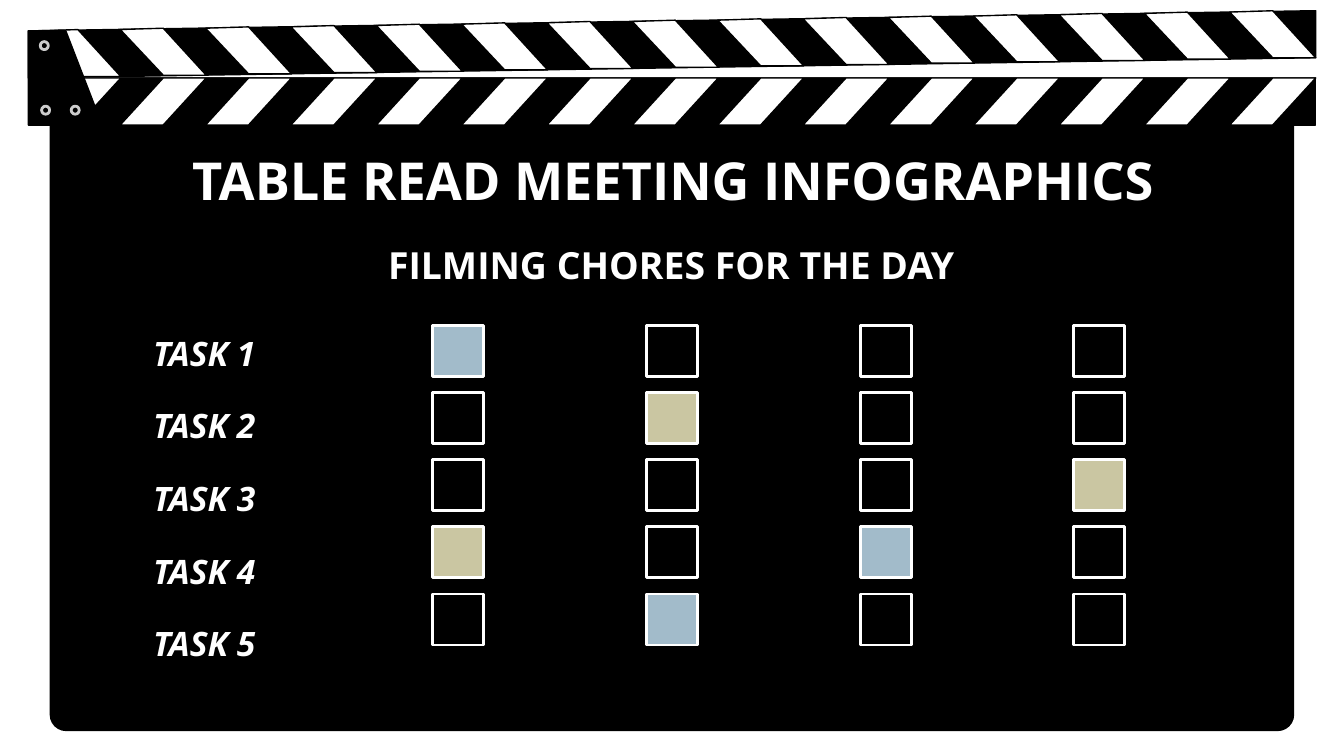
from lxml.etree import SubElement
from pptx import Presentation
from pptx.dml.color import RGBColor
from pptx.enum.shapes import MSO_CONNECTOR, MSO_SHAPE
from pptx.enum.text import MSO_ANCHOR, PP_ALIGN
from pptx.oxml.ns import qn
from pptx.util import Inches, Pt

BLACK = RGBColor(0x00, 0x00, 0x00)
WHITE = RGBColor(0xFF, 0xFF, 0xFF)
SEAM = RGBColor(0x17, 0x17, 0x17)
SILVER = RGBColor(0xCC, 0xCC, 0xCC)
BLUE = RGBColor(0xA2, 0xBB, 0xCA)
SAND = RGBColor(0xCA, 0xC6, 0xA2)
FONT = "Open Sans"
NO_STYLE = "{2D5ABB26-0587-4C30-8999-92F81FD0307C}"

HEADINGS = [
    ("TABLE READ MEETING INFOGRAPHICS", 28, (0.79, 1, 8.43, 0.63)),
    ("FILMING CHORES FOR THE DAY", 20, (2.22, 1.7, 5.55, 0.44)),
]
CHORES = [
    ("TASK 1", (BLUE, None, None, None)),
    ("TASK 2", (None, SAND, None, None)),
    ("TASK 3", (None, None, None, SAND)),
    ("TASK 4", (SAND, None, BLUE, None)),
    ("TASK 5", (None, BLUE, None, None)),
]
COLUMN_WIDTH = 1.58
ROW_HEIGHT = 0.54

LEFT, RIGHT = 0.21, 9.79
SEAM_Y, BAR_BOTTOM = 0.58, 0.93
UPPER_BAR = [(RIGHT, 0.08), (LEFT, 0.23), (LEFT, 0.58), (RIGHT, 0.43)]
LOWER_BAR = [(LEFT, SEAM_Y), (LEFT, BAR_BOTTOM), (RIGHT, BAR_BOTTOM), (RIGHT, SEAM_Y)]
HINGE = [(LEFT, 0.23), (LEFT, BAR_BOTTOM), (0.76, BAR_BOTTOM), (0.49, 0.23)]
SCREWS = [(0.3, 0.31), (0.31, 0.79), (0.53, 0.79)]
STRIPE_COUNT = 15
STRIPE_LEFT, STRIPE_RIGHT, STRIPE_WIDTH = 0.26, 9.15, 0.32
STRIPE_STEP = (STRIPE_RIGHT - STRIPE_LEFT) / (STRIPE_COUNT - 1)


def paint(shape, fill, line, line_width):
    shape.shadow.inherit = False
    if fill is None:
        shape.fill.background()
    else:
        shape.fill.solid()
        shape.fill.fore_color.rgb = fill
    shape.line.color.rgb = line
    shape.line.width = Pt(line_width)


def add_preset(shapes, kind, bounds, fill, line, line_width):
    shape = shapes.add_shape(kind, *map(Inches, bounds))
    paint(shape, fill, line, line_width)
    return shape


def add_outline(shapes, points, fill):
    corners = [(Inches(x), Inches(y)) for x, y in points]
    builder = shapes.build_freeform(*corners[0])
    builder.add_line_segments(corners[1:], close=True)
    paint(builder.convert_to_shape(), fill, BLACK, 0.75)


def style_text(para, size, italic=None):
    for span in para.runs:
        span.font.name = FONT
        span.font.size = Pt(size)
        span.font.bold = True
        span.font.italic = italic
        span.font.color.rgb = WHITE


def set_margins(holder):
    holder.margin_left = holder.margin_right = Inches(0.1)
    holder.margin_top = holder.margin_bottom = Inches(0.1)


def draw_clapper(shapes):
    board = add_preset(shapes, MSO_SHAPE.ROUNDED_RECTANGLE, (0.37, 0.72, 9.26, 4.72), BLACK, BLACK, 0.75)
    board.adjustments[0] = 0.026
    board.line.fill.background()

    add_outline(shapes, LOWER_BAR, BLACK)
    add_outline(shapes, UPPER_BAR, BLACK)
    for index in range(STRIPE_COUNT):
        left = STRIPE_LEFT + index * STRIPE_STEP
        middle, right = left + STRIPE_WIDTH, left + 2 * STRIPE_WIDTH
        top = 0.22 - 0.01 * index
        add_outline(shapes, [(middle, SEAM_Y), (left, BAR_BOTTOM), (middle, BAR_BOTTOM), (right, SEAM_Y)], WHITE)
        add_outline(shapes, [(middle, top), (left, top + 0.01), (middle, top + 0.35), (right, top + 0.35)], WHITE)

    seam = shapes.add_connector(
        MSO_CONNECTOR.STRAIGHT, Inches(LEFT), Inches(SEAM_Y), Inches(RIGHT), Inches(SEAM_Y)
    )
    seam.line.color.rgb = SEAM
    seam.line.width = Pt(0.48)
    SubElement(seam.element.spPr, qn("a:effectLst"))

    add_outline(shapes, HINGE, BLACK)
    for x, y in SCREWS:
        add_preset(shapes, MSO_SHAPE.OVAL, (x, y, 0.06, 0.06), BLACK, SILVER, 1.5)


def draw_headings(shapes):
    for text, size, bounds in HEADINGS:
        frame = shapes.add_textbox(*map(Inches, bounds)).text_frame
        frame.word_wrap = True
        frame.vertical_anchor = MSO_ANCHOR.TOP
        set_margins(frame)
        frame.text = text
        frame.paragraphs[0].alignment = PP_ALIGN.CENTER
        style_text(frame.paragraphs[0], size)


def draw_chores(shapes):
    columns = 1 + len(CHORES[0][1])
    holder = shapes.add_table(
        len(CHORES), columns, Inches(1.04), Inches(2.36),
        Inches(columns * COLUMN_WIDTH), Inches(len(CHORES) * ROW_HEIGHT),
    )
    for style in holder.element.iter(qn("a:tableStyleId")):
        style.text = NO_STYLE
    table = holder.table
    table.first_row = False
    table.horz_banding = False
    for cell in table.iter_cells():
        cell.fill.background()
        set_margins(cell)

    for row, (task, marks) in enumerate(CHORES):
        cell = table.cell(row, 0)
        cell.text = task
        style_text(cell.text_frame.paragraphs[0], 18, italic=True)
        for column, color in enumerate(marks):
            bounds = (3.22 + column * 1.59, 2.42 + row * 0.5, 0.38, 0.38)
            add_preset(shapes, MSO_SHAPE.RECTANGLE, bounds, color, WHITE, 1.5)


def main():
    deck = Presentation()
    deck.slide_width = Inches(10)
    deck.slide_height = Inches(5.625)
    page = deck.slides.add_slide(deck.slide_layouts[6])
    draw_clapper(page.shapes)
    draw_headings(page.shapes)
    draw_chores(page.shapes)
    deck.save("out.pptx")


if __name__ == "__main__":
    main()
